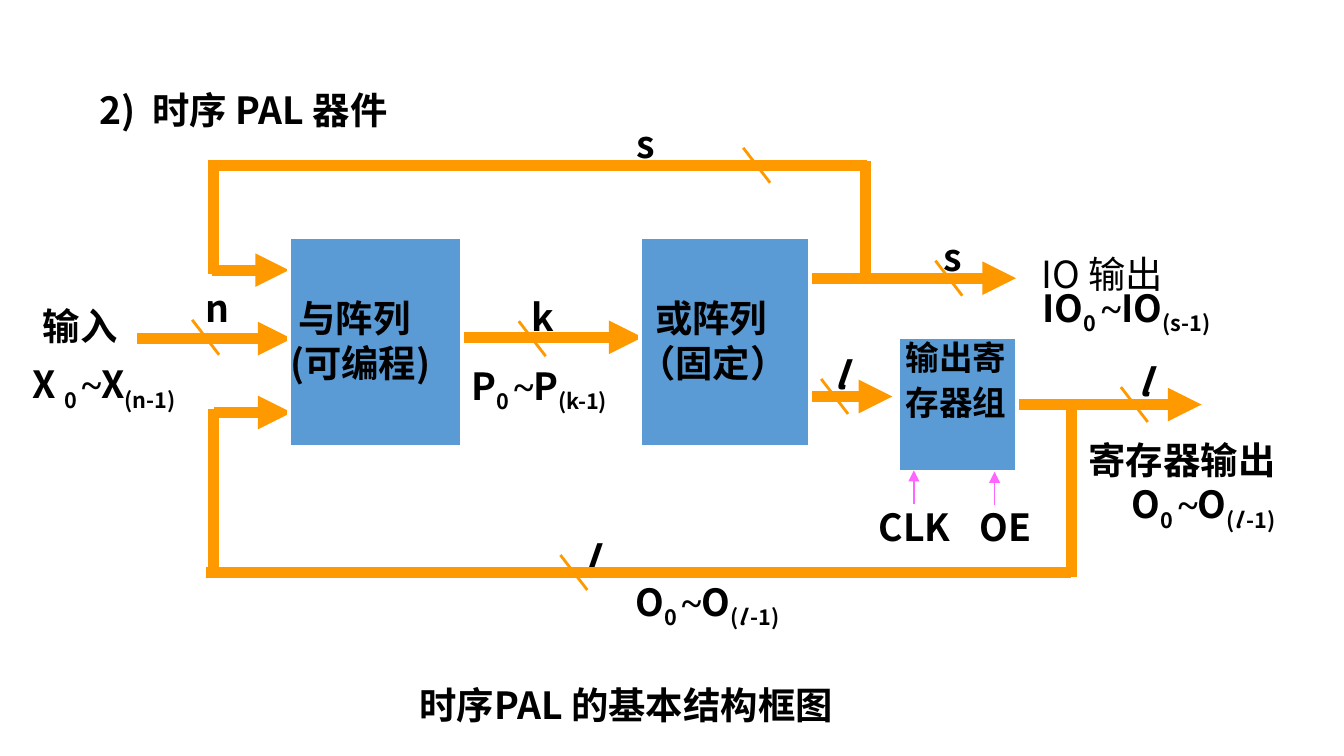
from lxml import etree
from pptx import Presentation
from pptx.dml.color import RGBColor
from pptx.enum import shapes, text
from pptx.oxml import ns
from pptx.util import Emu, Pt

PX = 9144  # EMU per px, 100 px to the inch
WIDTH = 1000

BLACK = RGBColor(0x00, 0x00, 0x00)
WHITE = RGBColor(0xFF, 0xFF, 0xFF)
BLUE = RGBColor(0x5B, 0x9B, 0xD5)
ORANGE = RGBColor(0xFF, 0x99, 0x00)
PINK = RGBColor(0xFF, 0x66, 0xFF)

SANS = "Noto Sans CJK JP"
SERIF = "Times New Roman"
LEFT, CENTER = text.PP_ALIGN.LEFT, text.PP_ALIGN.CENTER
RIGHT, JUSTIFY = text.PP_ALIGN.RIGHT, text.PP_ALIGN.JUSTIFY


def px(value):
    return Emu(value * PX)


def indexed(name, last, gap=""):
    """Runs for a signal range such as X0~X(n-1)."""
    if last == "l":
        index = [("(", "sub"), ("l ", "sub italic"), ("-1)", "sub")]
    else:
        index = [(f"({last}-1)", "sub")]
    return [(name + gap, ""), ("0 ", "sub"), ("~", "serif"), (name, ""), *index]


class Diagram:
    def __init__(self, slide):
        self.slide = slide

    def label(self, left, top, width, height, *paragraphs, size=20, bold=True,
              align=JUSTIFY, line_spacing=None, space_before=0):
        """Add a text box; a paragraph is a string or a list of (text, style)."""
        box = self.slide.shapes.add_textbox(px(left), px(top), px(width), px(height))
        frame = box.text_frame
        frame.word_wrap = True
        for number, runs in enumerate(paragraphs):
            paragraph = frame.add_paragraph() if number else frame.paragraphs[0]
            paragraph.alignment = align
            if line_spacing:
                paragraph.line_spacing = line_spacing
            if number and space_before:
                paragraph.space_before = Pt(space_before)
            for content, style in [(runs, "")] if isinstance(runs, str) else runs:
                run = paragraph.add_run()
                run.text = content
                run.font.name = SERIF if "serif" in style else SANS
                run.font.size = Pt(size)
                run.font.bold = bold
                run.font.italic = "italic" in style
                run.font.color.rgb = BLACK
                if "sub" in style:
                    run.font._element.set("baseline", "-25000")

    def block(self, left, top, width, height):
        shape = self.slide.shapes.add_shape(
            shapes.MSO_SHAPE.RECTANGLE, px(left), px(top), px(width), px(height))
        shape.shadow.inherit = False
        shape.fill.solid()
        shape.fill.fore_color.rgb = BLUE
        shape.line.color.rgb = WHITE
        shape.line.width = Pt(2.25)
        return shape

    def line(self, x1, y1, x2, y2, arrow=False, color=ORANGE, weight=6):
        connector = self.slide.shapes.add_connector(
            shapes.MSO_CONNECTOR.STRAIGHT, px(x1), px(y1), px(x2), px(y2))
        connector.line.color.rgb = color
        connector.line.width = Pt(weight)
        if arrow:
            line = connector.line._get_or_add_ln()
            etree.SubElement(line, ns.qn("a:tailEnd"), type="triangle")
        etree.SubElement(connector._element.spPr, ns.qn("a:effectLst"))
        return connector

    def bus_width(self, name, left, top, tick_x, tick_y, style=""):
        """Mark a bus with a slash and its number of lines."""
        self.line(tick_x, tick_y, tick_x + 20, tick_y + 26, weight=1.5)
        self.label(left, top, 32, 44, [(name, style)], align=LEFT)


def main():
    presentation = Presentation()
    presentation.slide_width = px(WIDTH)
    presentation.slide_height = Emu(px(WIDTH) * 9 // 16)
    slide = presentation.slides.add_slide(presentation.slide_layouts[6])
    diagram = Diagram(slide)

    # Title and caption
    diagram.label(64, 64, 542, 56, "2)  时序 PAL 器件", align=LEFT, line_spacing=0.9)
    diagram.label(131, 503, 670, 38, "时序PAL 的基本结构框图", align=CENTER)

    # Bus widths
    for mark in [("s", 464, 85, 553, 110), ("s", 692, 169, 696, 194),
                 ("k", 386, 214, 386, 239), ("n", 143, 207, 143, 238),
                 ("l", 425, 394, 417, 413, "italic"),
                 ("l", 611, 257, 611, 282, "italic"),
                 ("l", 837, 262, 834, 288, "italic")]:
        diagram.bus_width(*mark)

    # Signal names
    diagram.label(22, 221, 89, 63, "输入")
    diagram.label(14, 264, 165, 63, indexed("X", "n", gap=" "))
    diagram.label(341, 265, 141, 42, indexed("P", "k"))
    diagram.label(463, 426, 165, 50, indexed("O", "l"))
    diagram.label(765, 182, 146, 38, "IO 输出", bold=False)
    diagram.label(766, 207, 197, 44, indexed("IO", "s"))
    diagram.label(789, 320, 170, 69, "寄存器输出", indexed("O", "l"), align=RIGHT)

    # Forward buses
    diagram.line(102, 252, 217, 252, arrow=True)
    diagram.line(345, 251, 478, 251, arrow=True)
    diagram.line(603, 207, 756, 207, arrow=True)
    diagram.line(603, 295, 664, 295, arrow=True)
    register_output = diagram.line(757, 301, 894, 301, arrow=True)

    # IO feedback along the top
    diagram.line(644, 120, 644, 204)
    diagram.line(155, 123, 645, 123)
    diagram.line(159, 120, 159, 204)
    diagram.line(158, 201, 215, 201, arrow=True)

    # Register feedback along the bottom
    diagram.line(797, 299, 797, 429)
    diagram.line(153, 426, 797, 426)
    diagram.line(159, 304, 159, 429)
    diagram.line(159, 307, 217, 307, arrow=True)

    # Output registers with their control inputs
    registers = diagram.block(668, 251, 89, 100)
    register_output.begin_connect(registers, 3)
    diagram.label(664, 254, 127, 106, "输出寄", "存器组", size=18, align=LEFT,
                  line_spacing=0.7, space_before=9)
    for name, left, x, y in [("CLK", 644, 680, 350), ("OE", 719, 740, 351)]:
        diagram.line(x, y + 25, x, y, arrow=True, color=PINK, weight=1)
        diagram.label(left, 370, 81, 44, name, align=LEFT)

    # AND and OR arrays
    diagram.block(476, 176, 127, 157)
    diagram.label(465, 215, 171, 110, "  或阵列", "（固定）")
    diagram.block(215, 176, 129, 157)
    diagram.label(206, 215, 156, 110, " 与阵列", "(可编程)")

    presentation.save("out.pptx")


if __name__ == "__main__":
    main()
